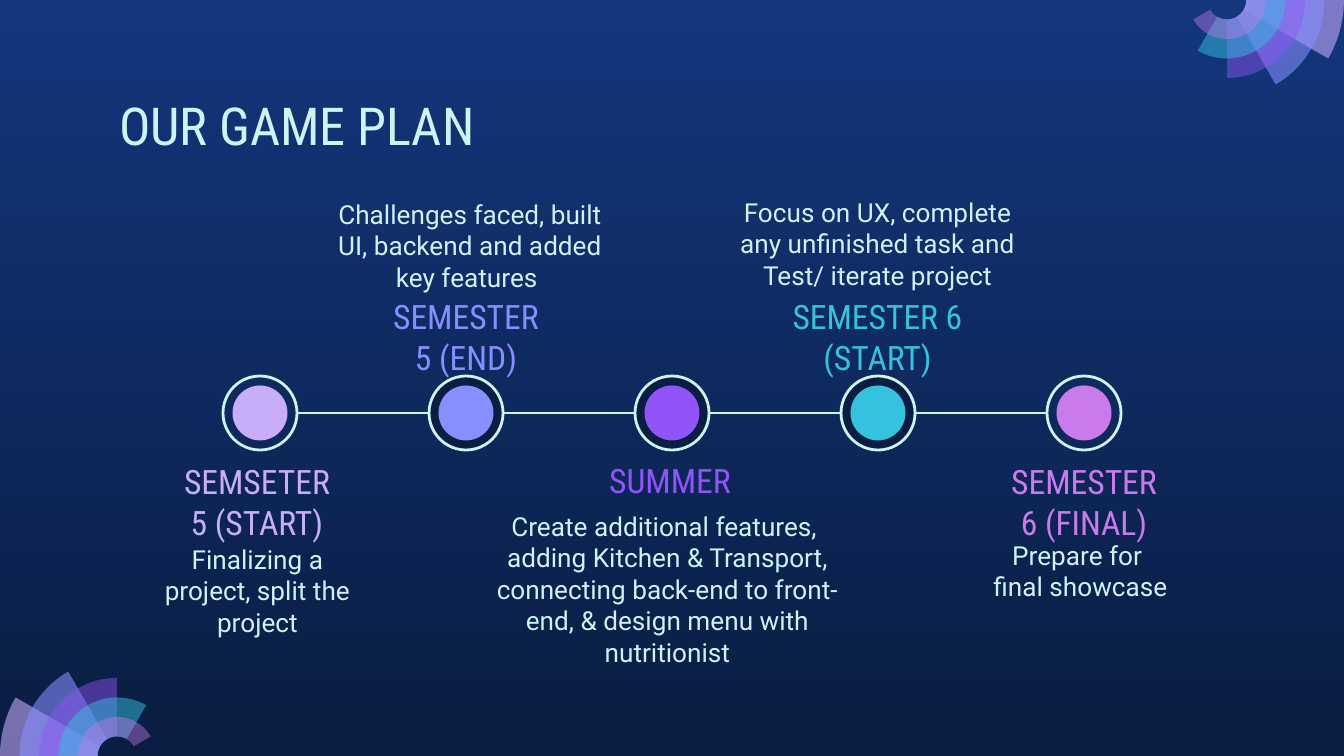
import math

import pptx
import pptx.dml.color
import pptx.enum.shapes
import pptx.enum.text
import pptx.util
from lxml import etree
from pptx.oxml.ns import qn

SCALE = 914400 / 134.4  # EMU in one px
PALE, NAVY = "CEF3F5", "0A1D42"
HEAD_FONT, BODY_FONT = "Roboto Condensed", "Roboto"
RING = 19.5  # width of one fan ring in px

# Fan blades, longest first: colour, opacity in percent
BLADES = [("C8ACFD", 58), ("878FFF", 58), ("9154F8", 46),
          ("35C2DF", 49), ("CA7BEB", 42)]

# Milestones: dot colour, whether the ring is filled,
# heading with its box, description paragraphs with their box
MILESTONES = [
    ("C8AEF8", False, "SEMSETER 5 (START)", (165, 448, 184, 51),
     ["Finalizing a project, split the project"], (135, 530, 245, 108)),
    ("878FFF", True, "SEMESTER 5 (END)", (376, 283, 180, 51),
     ["Challenges faced, built UI, backend and added key features "],
     (320, 185, 300, 108)),
    ("9154F8", True, "SUMMER", (594, 447, 152, 51),
     ["Create additional features, ",
      "adding Kitchen & Transport, connecting back-end to front-end, "
      "& design menu with nutritionist"], (466, 497, 403, 108)),
    ("35C2DF", True, "SEMESTER 6 (START)", (739, 283, 277, 51),
     ["Focus on UX, complete any unfinished task and Test/ iterate project"],
     (709, 183, 337, 102)),
    ("CA7BEB", False, "SEMESTER 6 (FINAL)", (992, 448, 184, 51),
     ["Prepare for ", "final showcase"], (958, 526, 245, 108)),
]
FIRST_X, STEP, AXIS_Y = 260, 206, 413
RING_SIZE, DOT_SIZE = 74, 55


def px(n):
    return pptx.util.Emu(round(n * SCALE))


def color(value):
    return pptx.dml.color.RGBColor.from_string(value)


def paint_background(slide):
    fill = slide.background.fill
    fill.gradient()
    fill.gradient_angle = 270
    for stop, value in zip(fill.gradient_stops, ("13367C", NAVY)):
        stop.color.rgb = color(value)


def bend(segment, points):
    """Turn a straight path segment into a cubic curve."""
    segment.tag = qn("a:cubicBezTo")
    for pt in list(segment):
        segment.remove(pt)
    for x, y in points:
        pt = etree.SubElement(segment, qn("a:pt"))
        pt.set("x", str(round(x)))
        pt.set("y", str(round(y)))


def add_blade(slide, cx, cy, start, sweep, radius, fill, opacity):
    """Draw a ring sector that starts at an angle in degrees."""
    turns = sorted({0, min(90, sweep), sweep})
    angles = [math.radians(start + t) for t in turns]
    knots = ([(radius, a) for a in angles]
             + [(RING, a) for a in reversed(angles)])
    points = [(px(cx + r * math.cos(a)), px(cy + r * math.sin(a)))
              for r, a in knots]
    builder = slide.shapes.build_freeform(*points[0])
    builder.add_line_segments(points[1:], close=True)
    sp = builder.convert_to_shape()

    # Knots on the same radius are joined by an arc
    segments = list(sp._element.iter(qn("a:lnTo")))
    for i, segment in enumerate(segments):
        (r, a), (next_r, b) = knots[i:i + 2]
        if r != next_r:
            continue
        (x1, y1), (x2, y2) = [(x - sp.left, y - sp.top)
                              for x, y in points[i:i + 2]]
        pull = px(r) * 4 / 3 * math.tan((b - a) / 4)
        bend(segment, [
            (x1 - pull * math.sin(a), y1 + pull * math.cos(a)),
            (x2 + pull * math.sin(b), y2 - pull * math.cos(b)),
            (x2, y2)])

    sp.shadow.inherit = False
    sp.line.fill.background()
    sp.fill.solid()
    sp.fill.fore_color.rgb = color(fill)
    rgb = sp._element.spPr.find(qn("a:solidFill") + "/" + qn("a:srgbClr"))
    etree.SubElement(rgb, qn("a:alpha")).set("val", str(opacity * 1000))


def add_fan(slide, cx, cy, start):
    for i, (fill, opacity) in enumerate(BLADES):
        add_blade(slide, cx, cy, start, 30 * (i + 1), RING * (6 - i),
                  fill, opacity)


def add_axis(slide, x1, x2, y):
    line = slide.shapes.add_connector(
        pptx.enum.shapes.MSO_CONNECTOR.STRAIGHT, px(x1), px(y), px(x2), px(y))
    line.line.color.rgb = color(PALE)
    line.line.width = pptx.util.Pt(1.5)
    etree.SubElement(line._element.spPr, qn("a:effectLst"))


def add_circle(slide, cx, cy, size, fill=None, line=None):
    sp = slide.shapes.add_shape(
        pptx.enum.shapes.MSO_SHAPE.OVAL,
        px(cx - size / 2), px(cy - size / 2), px(size), px(size))
    sp.shadow.inherit = False
    if fill:
        sp.fill.solid()
        sp.fill.fore_color.rgb = color(fill)
    else:
        sp.fill.background()
    if line:
        sp.line.color.rgb = color(line)
        sp.line.width = pptx.util.Pt(1.5)
    else:
        sp.line.fill.background()


def add_text(slide, box, paragraphs, size, font, value, align="CENTER"):
    tf = slide.shapes.add_textbox(*map(px, box)).text_frame
    tf.word_wrap = True
    tf.margin_left = tf.margin_right = pptx.util.Inches(0.1)
    tf.margin_top = tf.margin_bottom = pptx.util.Inches(0.1)
    tf.text = "\n".join(paragraphs)
    for p in tf.paragraphs:
        p.alignment = pptx.enum.text.PP_ALIGN[align]
        for r in p.runs:
            r.font.size = pptx.util.Pt(size)
            r.font.name = font
            r.font.color.rgb = color(value)


def main():
    prs = pptx.Presentation()
    prs.slide_width, prs.slide_height = px(1344), px(756)
    slide = prs.slides.add_slide(prs.slide_layouts[6])
    paint_background(slide)

    # Corner fans
    add_fan(slide, 117, 756, 180)
    add_fan(slide, 1227, 0, 0)

    # Title
    add_text(slide, (106, 80, 1133, 85), ["OUR GAME PLAN"], 28, HEAD_FONT,
             PALE, "LEFT")

    # Timeline
    last_x = FIRST_X + STEP * (len(MILESTONES) - 1)
    add_axis(slide, FIRST_X + RING_SIZE // 2, last_x - RING_SIZE // 2, AXIS_Y)
    for i, (tint, filled, heading, head_box, body, body_box) in enumerate(
            MILESTONES):
        x = FIRST_X + STEP * i
        add_circle(slide, x, AXIS_Y, RING_SIZE, NAVY if filled else None, PALE)
        add_circle(slide, x, AXIS_Y, DOT_SIZE, tint)
        add_text(slide, body_box, body, 14, BODY_FONT, PALE)
        add_text(slide, head_box, [heading], 18, HEAD_FONT, tint)

    prs.save("out.pptx")


if __name__ == "__main__":
    main()
